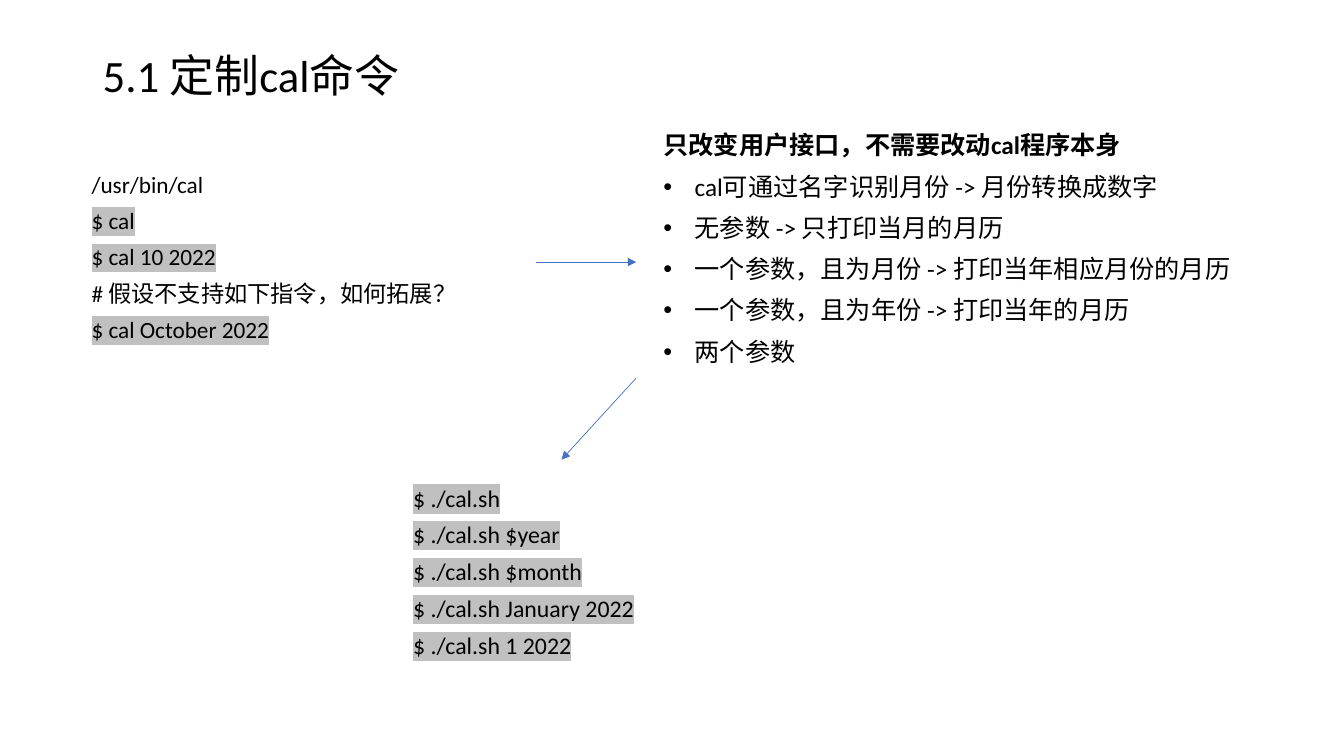
from lxml.etree import SubElement
from pptx import Presentation
from pptx.dml.color import RGBColor
from pptx.enum.shapes import MSO_CONNECTOR
from pptx.enum.text import MSO_ANCHOR
from pptx.oxml.ns import qn
from pptx.util import Inches, Pt

COLORS = {"text": "000000", "command": "C0C0C0", "arrow": "4472C4"}
FONT = "Calibri"


def add_bullet(paragraph, indent):
    props = paragraph._p.get_or_add_pPr()
    props.set("marL", str(Inches(indent)))
    props.set("indent", str(-Inches(indent)))
    SubElement(props, qn("a:buFont"), typeface="Arial")
    SubElement(props, qn("a:buChar"), char="•")


def add_highlight(run, color):
    # The schema places the highlight directly after the fill
    props = run._r.get_or_add_rPr()
    highlight = SubElement(props, qn("a:highlight"))
    SubElement(highlight, qn("a:srgbClr"), val=color)
    props.find(qn("a:solidFill")).addnext(highlight)


def write(paragraph, text, size, spacing=0.9, before=0, bold=False,
          bullet_indent=None, highlight=None):
    paragraph.line_spacing = spacing
    paragraph.space_before = Pt(before)
    if bullet_indent:
        add_bullet(paragraph, bullet_indent)
    run = paragraph.add_run()
    run.text = text
    run.font.size, run.font.name, run.font.bold = Pt(size), FONT, bold
    run.font.color.rgb = RGBColor.from_string(COLORS["text"])
    if highlight:
        add_highlight(run, highlight)


def add_text(slide, box, lines, anchor=MSO_ANCHOR.TOP, margins=(0.1, 0.05),
             wrap=True, **style):
    """Each line is a pair: its text and what differs from the style."""
    frame = slide.shapes.add_textbox(*map(Inches, box)).text_frame
    frame.word_wrap = wrap
    frame.vertical_anchor = anchor
    frame.margin_left = frame.margin_right = Inches(margins[0])
    frame.margin_top = frame.margin_bottom = Inches(margins[1])
    for index, (text, changes) in enumerate(lines):
        paragraph = frame.add_paragraph() if index else frame.paragraphs[0]
        write(paragraph, text, **{**style, **changes})


def add_title(slide, box):
    add_text(slide, box, [("5.1 定制cal命令", {})],
             anchor=MSO_ANCHOR.MIDDLE, size=32)


def add_commands(slide, box, lines, size, wrap=True):
    """Shell lines: those that start with a prompt are highlighted."""
    marked = [(line, {"highlight": COLORS["command"]} if line.startswith("$") else {})
              for line in lines]
    add_text(slide, box, marked, size=size, spacing=0.8, before=10, wrap=wrap)


def add_requirements(slide, box, heading, items):
    lines = [(heading, {"bold": True})]
    lines += [(item, {"bullet_indent": 0.31}) for item in items]
    add_text(slide, box, lines, margins=(0, 0.14), size=18, before=10)


def add_arrow(slide, start, end):
    arrow = slide.shapes.add_connector(
        MSO_CONNECTOR.STRAIGHT, *map(Inches, start + end))
    arrow.line.width = Pt(0.5)
    arrow.line.color.rgb = RGBColor.from_string(COLORS["arrow"])
    SubElement(arrow.line._get_or_add_ln(), qn("a:tailEnd"), type="triangle")
    SubElement(arrow._element.spPr, qn("a:effectLst"))


presentation = Presentation()
presentation.slide_width, presentation.slide_height = Inches(13.33), Inches(7.5)
slide = presentation.slides.add_slide(presentation.slide_layouts[6])

add_title(slide, (0.92, 0.4, 11.5, 0.74))

# Existing command
add_commands(slide, (0.81, 1.69, 4.51, 1.82), [
    "/usr/bin/cal",
    "$ cal",
    "$ cal 10 2022",
    "# 假设不支持如下指令，如何拓展？",
    "$ cal October 2022",
], size=16.6)

# Requirements for the new interface
add_requirements(slide, (6.58, 1.18, 5.95, 2.92), "只改变用户接口，不需要改动cal程序本身", [
    "cal可通过名字识别月份 -> 月份转换成数字",
    "无参数 -> 只打印当月的月历",
    "一个参数，且为月份 -> 打印当年相应月份的月历",
    "一个参数，且为年份 -> 打印当年的月历",
    "两个参数",
])

# Customised script
arguments = ["", " $year", " $month", " January 2022", " 1 2022"]
add_commands(slide, (4, 4.8, 2.41, 1.81),
             ["$ ./cal.sh" + argument for argument in arguments],
             size=17, wrap=False)

# Flow from command to requirements to script
add_arrow(slide, (5.32, 2.6), (6.31, 2.6))
add_arrow(slide, (6.31, 3.75), (5.57, 4.56))

presentation.save("out.pptx")
